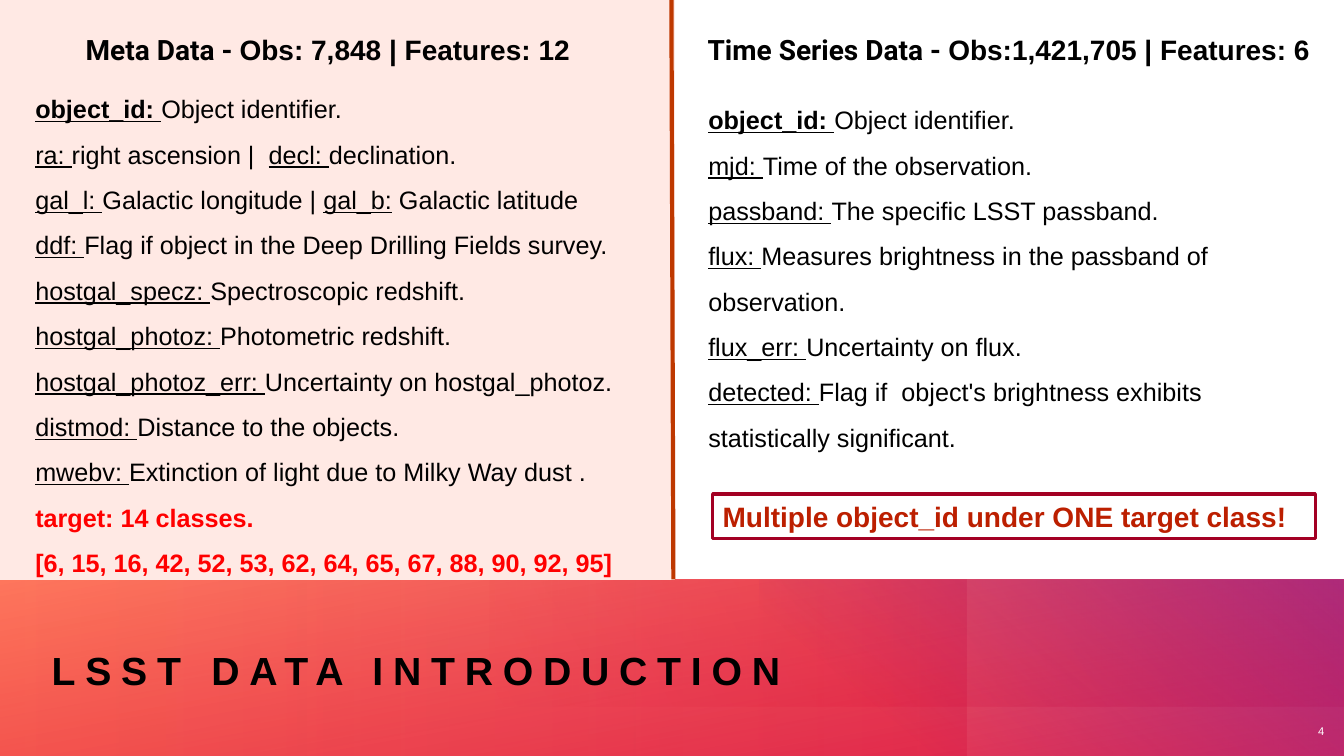
from lxml import etree
from pptx import Presentation
from pptx.dml.color import RGBColor
from pptx.enum import shapes, text
from pptx.oxml import ns
from pptx.util import Cm, Pt

BLACK = RGBColor(0x00, 0x00, 0x00)
WHITE = RGBColor(0xFF, 0xFF, 0xFF)
BLUSH = RGBColor(0xFF, 0xE9, 0xE4)
RED = RGBColor(0xFF, 0x00, 0x00)
CRIMSON = RGBColor(0xDA, 0x00, 0x2F)
SALMON = RGBColor(0xFF, 0x90, 0x7A)
ORANGE = RGBColor(0xFF, 0x41, 0x1C)
PURPLE = RGBColor(0x93, 0x25, 0x8E)
RUST = RGBColor(0xBE, 0x38, 0x00)
WINE = RGBColor(0xA3, 0x00, 0x23)
BRICK = RGBColor(0xBC, 0x1F, 0x00)

WIDTH, HEIGHT, BAND_TOP = 33.87, 19.05, 14.6

META_FIELDS = [
    ("object_id: ", "Object identifier."),
    ("ra: ", "right ascension |  ", "decl: ", "declination."),
    ("gal_l: ", "Galactic longitude | ", "gal_b:", " Galactic latitude"),
    ("ddf: ", "Flag if object in the Deep Drilling Fields survey."),
    ("hostgal_specz: ", "Spectroscopic redshift."),
    ("hostgal_photoz: ", "Photometric redshift."),
    ("hostgal_photoz_err: ", "Uncertainty on hostgal_photoz."),
    ("distmod: ", "Distance to the objects."),
    ("mwebv: ", "Extinction of light due to Milky Way dust ."),
]
TARGET_LINES = ["target: 14 classes.", "[6, 15, 16, 42, 52, 53, 62, 64, 65, 67, 88, 90, 92, 95]"]
SERIES_FIELDS = [
    ("object_id: ", "Object identifier."),
    ("mjd: ", "Time of the observation."),
    ("passband: ", "The specific LSST passband."),
    ("flux: ", "Measures brightness in the passband of observation."),
    ("flux_err: ", "Uncertainty on flux."),
    ("detected: ", "Flag if  object's brightness exhibits statistically significant."),
]


def cm(box):
    """Turn a box given in centimetres into lengths."""
    return [Cm(length) for length in box]


def write(frame, paragraphs, size=18, color=BLACK, bold=False, align=text.PP_ALIGN.LEFT,
          spacing=1.0, indent=0, tracking=0, anchor=text.MSO_ANCHOR.TOP):
    """Fill a frame with paragraphs, each a list of (words, own format) runs."""
    frame.word_wrap = True
    frame.auto_size = text.MSO_AUTO_SIZE.NONE
    frame.vertical_anchor = anchor
    for index, runs in enumerate(paragraphs):
        paragraph = frame.add_paragraph() if index else frame.paragraphs[0]
        paragraph.alignment = align
        paragraph.line_spacing = spacing
        if indent:
            properties = paragraph._p.get_or_add_pPr()
            properties.set("marL", str(Cm(indent)))
            properties.set("indent", "0")
        for words, own in runs:
            run = paragraph.add_run()
            run.text = words
            run.font.name = own.get("font", "Arial")
            run.font.size = Pt(size)
            run.font.bold = own.get("bold", bold)
            run.font.underline = own.get("underline", False)
            run.font.color.rgb = own.get("color", color)
            if tracking:
                run._r.get_or_add_rPr().set("spc", str(tracking * 100))


def add_text(slide, box, paragraphs, **style):
    """Add a text box."""
    write(slide.shapes.add_textbox(*cm(box)).text_frame, paragraphs, **style)


def add_rectangle(slide, box, line=None, line_width=1):
    """Add a flat rectangle with an optional outline."""
    rectangle = slide.shapes.add_shape(shapes.MSO_SHAPE.RECTANGLE, *cm(box))
    rectangle.shadow.inherit = False
    if line is None:
        rectangle.line.fill.background()
    else:
        rectangle.line.color.rgb = line
        rectangle.line.width = Pt(line_width)
    return rectangle


def add_gradient(slide, box, stops, angle, rotation=0):
    """Add a rectangle blending two (position, colour, opacity) stops at a clockwise angle."""
    rectangle = add_rectangle(slide, box)
    rectangle.rotation = rotation
    rectangle.fill.gradient()
    rectangle.fill.gradient_angle = (360 - angle) % 360
    for stop, (position, color, opacity) in zip(rectangle.fill.gradient_stops, stops):
        stop.position = position
        stop.color.rgb = color
    for tint, (_, _, opacity) in zip(rectangle._element.spPr.iter(ns.qn("a:srgbClr")), stops):
        etree.SubElement(tint, ns.qn("a:alpha")).set("val", str(opacity * 1000))


def field_runs(fields):
    """Underline every other piece of each field line and embolden the key field."""
    return [[(words, {"underline": place % 2 == 0, "bold": row == 0 and place == 0})
             for place, words in enumerate(pieces)] for row, pieces in enumerate(fields)]


def add_heading(slide, box, dataset, counts):
    """Add the centred heading of a data set."""
    add_text(slide, box, [[(dataset, {"font": "Roboto"}), (counts, {})]],
             size=20, bold=True, align=text.PP_ALIGN.CENTER)


def add_meta_panel(slide, box):
    """Add the tinted panel that lists the meta data fields."""
    left, top, width, height = box
    panel = add_rectangle(slide, box, line=BLUSH)
    panel.fill.solid()
    panel.fill.fore_color.rgb = BLUSH
    panel.text_frame.margin_top = Cm(1.98)
    panel.text_frame.margin_bottom = 0
    targets = [[(words, {"color": RED, "bold": True})] for words in TARGET_LINES]
    write(panel.text_frame, field_runs(META_FIELDS) + targets, spacing=1.5, indent=0.64)
    add_heading(slide, (left + 1.04, top + 0.69, width - 2.55, 1.12),
                "Meta Data - ", "Obs: 7,848 | Features: 12")


def add_series_panel(slide, box):
    """Add the time series fields and the boxed remark."""
    left, top, width, height = box
    add_heading(slide, (left + 0.27, top + 0.69, width - 0.56, 1.12),
                "Time Series Data - ", "Obs:1,421,705 | Features: 6")
    add_text(slide, (left + 0.6, top + 2.13, 13.8, 9.37), field_runs(SERIES_FIELDS), spacing=1.5)
    remark = add_rectangle(slide, (left + 0.96, top + 12.45, 15.19, 1.12), WINE, 2.25)
    remark.fill.background()
    write(remark.text_frame, [[("Multiple object_id under ONE target class!", {})]],
          size=20, color=BRICK, bold=True)


def add_divider(slide, start, end):
    """Add the line between the two panels."""
    divider = slide.shapes.add_connector(shapes.MSO_CONNECTOR.STRAIGHT, *cm(start + end))
    divider.line.color.rgb = RUST
    divider.line.width = Pt(3)
    etree.SubElement(divider._element.spPr, ns.qn("a:effectLst"))


def add_title_band(slide, box):
    """Add the blended band with the slide title and number."""
    left, top, width, height = box
    add_gradient(slide, box, [(0, CRIMSON, 83), (1, SALMON, 100)], 260)
    add_gradient(slide, (left + 12.34, top, width - 12.34, 3.2),
                 [(0, CRIMSON, 30), (0.99, CRIMSON, 0)], 330, rotation=180)
    add_gradient(slide, (left, top, 24.36, height),
                 [(0, ORANGE, 31), (0.99, CRIMSON, 23)], 0)
    add_gradient(slide, (left + 19.15, top, width - 19.15, height),
                 [(0.22, PURPLE, 0), (0.99, PURPLE, 66)], 310)
    add_text(slide, (left + width - 1.46, top + 3.2, 1.22, 1.25), [[("4", {})]], size=8,
             color=WHITE, align=text.PP_ALIGN.RIGHT, anchor=text.MSO_ANCHOR.MIDDLE)
    title = slide.shapes.title
    slide.shapes._spTree.append(title._element)
    title.left, title.top, title.width, title.height = cm((left + 0.66, top + 1.6, 19.61, 1.27))
    frame = title.text_frame
    frame.margin_left = frame.margin_top = frame.margin_right = frame.margin_bottom = 0
    write(frame, [[("LSST DATA INTRODUCTION", {})]], size=28, bold=True, indent=0.64,
          tracking=7, anchor=text.MSO_ANCHOR.BOTTOM)


def main():
    """Build the slide and save it."""
    deck = Presentation()
    deck.slide_width, deck.slide_height = Cm(WIDTH), Cm(HEIGHT)
    slide = deck.slides.add_slide(deck.slide_layouts[5])
    add_title_band(slide, (0, BAND_TOP, WIDTH, HEIGHT - BAND_TOP))
    add_meta_panel(slide, (0, 0, 17, BAND_TOP))
    add_divider(slide, (16.92, 0), (16.97, BAND_TOP))
    add_series_panel(slide, (17, 0, WIDTH - 17, BAND_TOP))
    deck.save("out.pptx")


if __name__ == "__main__":
    main()
